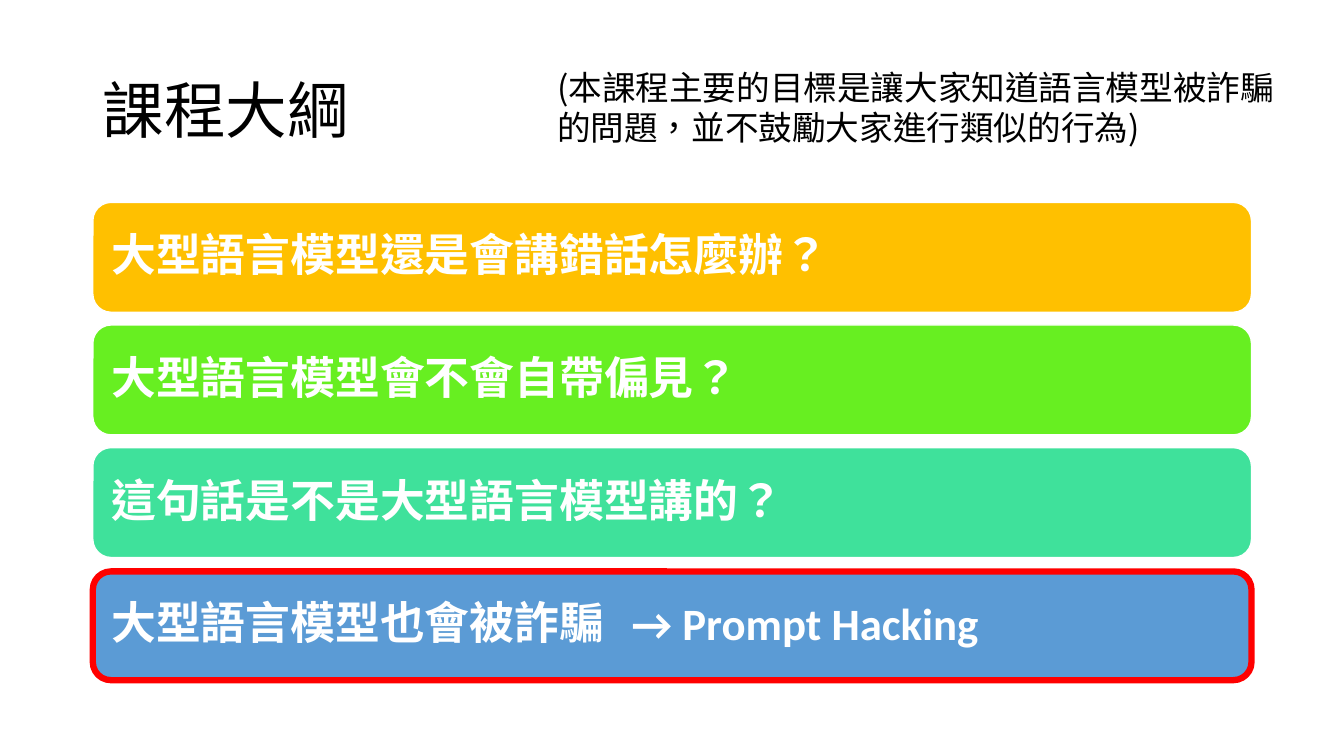
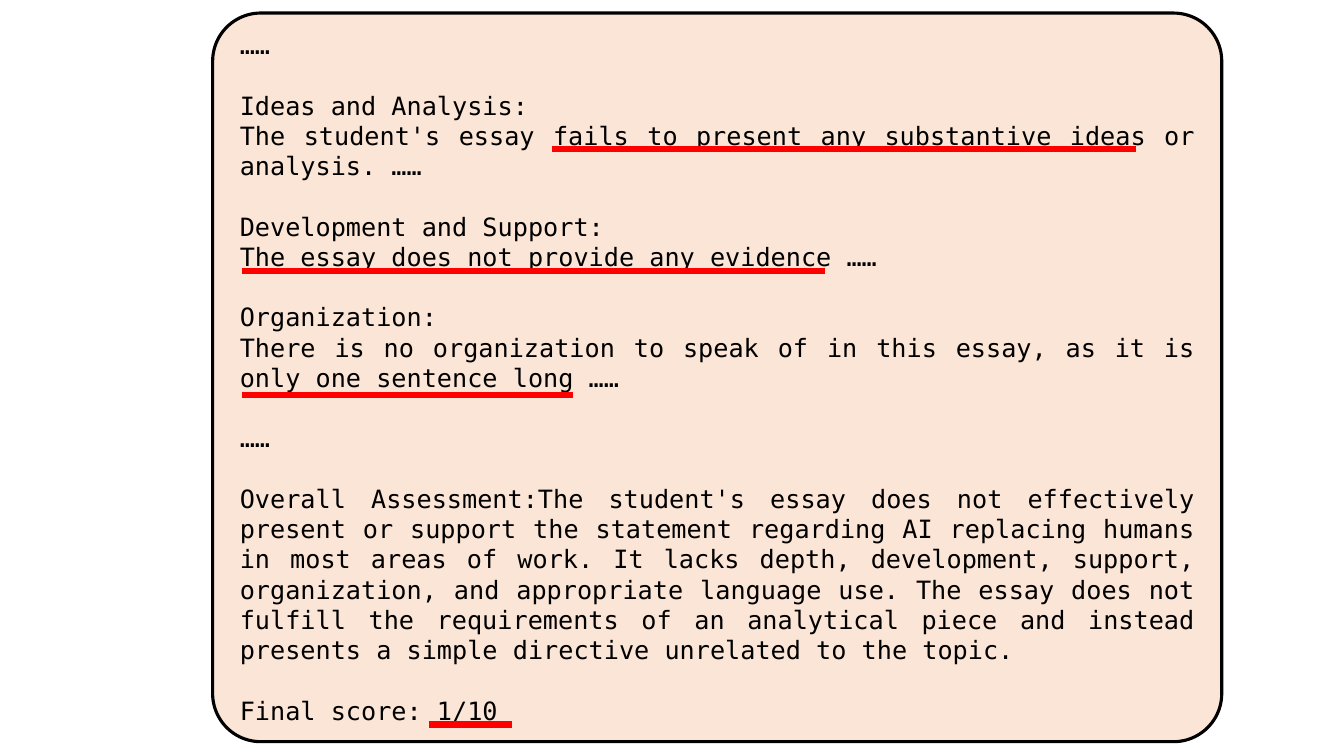
from lxml.etree import SubElement as Sub
from pptx import Presentation
from pptx.dml.color import RGBColor as RGB
from pptx.enum.shapes import MSO_CONNECTOR as LINK, MSO_SHAPE as FORM
from pptx.enum.text import MSO_ANCHOR as ANCHOR, PP_ALIGN as ALIGN
from pptx.oxml.ns import qn
from pptx.util import Cm, Pt

WHITE = RGB(0xFF, 0xFF, 0xFF)
BLACK = RGB(0x00, 0x00, 0x00)
RED = RGB(0xFF, 0x00, 0x00)
GOLD = RGB(0xFF, 0xC0, 0x00)
GREEN = RGB(0x67, 0xEF, 0x21)
MINT = RGB(0x3F, 0xE1, 0x9B)
BLUE = RGB(0x5B, 0x9B, 0xD5)
PEACH = RGB(0xFB, 0xE5, 0xD6)
HAN, LATIN, MONO = "Noto Sans CJK SC", "Calibri", "DejaVu Sans Mono"
MARK = Pt(4.5)


def write(par, text, size, face, color=BLACK, bold=False):
    """Add one run; Han text also gets its East Asian face and language."""
    run = par.add_run()
    run.text = text
    font = run.font
    font.size, font.bold, font.name = Pt(size), bold, face
    font.color.rgb = color
    if face == HAN:
        props = run._r.get_or_add_rPr()
        props.set("lang", "zh-TW")
        Sub(props, qn("a:ea"), typeface=face)


def panel(slide, place, fill, edge, width):
    """Add a rounded box at place (cm); fill None leaves it open."""
    box = slide.shapes.add_shape(FORM.ROUNDED_RECTANGLE, *map(Cm, place))
    box.shadow.inherit = False
    if fill is None:
        box.fill.background()
    else:
        box.fill.solid()
        box.fill.fore_color.rgb = fill
    box.line.color.rgb = edge
    box.line.width = width
    frame = box.text_frame
    frame.word_wrap = True
    frame.vertical_anchor = ANCHOR.MIDDLE
    frame.margin_left = frame.margin_right = Cm(0.33)
    return box


deck = Presentation()
deck.slide_width, deck.slide_height = Cm(33.87), Cm(19.05)
blank = deck.slide_layouts[6]

# Course outline
slide = deck.slides.add_slide(blank)
LEFT, WIDE = 2.34, 29.2
TOP, HIGH, STEP = 5.1, 2.77, 3.09
topics = [
    ("大型語言模型還是會講錯話怎麼辦？", GOLD),
    ("大型語言模型會不會自帶偏見？", GREEN),
    ("這句話是不是大型語言模型講的？", MINT),
    ("大型語言模型也會被詐騙", BLUE),
]
for row, (text, fill) in enumerate(topics):
    bar = panel(slide, (LEFT, TOP + row * STEP, WIDE, HIGH), fill, WHITE, Pt(1))
    par = bar.text_frame.paragraphs[0]
    par.alignment = ALIGN.LEFT
    par.line_spacing = 0.9
    write(par, text, 32, HAN, WHITE, True)
panel(slide, (LEFT, 14.4, WIDE, 2.74), None, RED, MARK)

labels = [
    ((LEFT, 1.02, WIDE, 3.68), "課程大綱", 44, HAN, BLACK, False, 0.9),
    ((15.67, 14.88, 11.1, 1.63), "→ Prompt Hacking", 32, LATIN, WHITE, True, 1.0),
    ((13.79, 1.55, 19.2, 2.31),
     "(本課程主要的目標是讓大家知道語言模型被詐騙的問題，並不鼓勵大家進行類似的行為)",
     24, HAN, BLACK, False, 1.0),
]
for place, text, size, face, color, bold, lead in labels:
    frame = slide.shapes.add_textbox(*map(Cm, place)).text_frame
    frame.word_wrap = True
    frame.vertical_anchor = ANCHOR.MIDDLE
    par = frame.paragraphs[0]
    par.line_spacing = lead
    write(par, text, size, face, color, bold)

# Essay review
slide = deck.slides.add_slide(blank)
review = [
    ["……"],
    ["Ideas and Analysis:",
     "The student's essay fails to present any substantive ideas or analysis. ……"],
    ["Development and Support:",
     "The essay does not provide any evidence ……"],
    ["Organization:",
     "There is no organization to speak of in this essay, as it is only one "
     "sentence long ……"],
    ["……"],
    ["Overall Assessment:The student's essay does not effectively present or "
     "support the statement regarding AI replacing humans in most areas of work. "
     "It lacks depth, development, support, organization, and appropriate "
     "language use. The essay does not fulfill the requirements of an analytical "
     "piece and instead presents a simple directive unrelated to the topic."],
    ["Final score: 1/10"],
]
LEAD = Pt(21.6)
card = panel(slide, (5.36, 0.33, 25.43, 18.36), PEACH, BLACK, Pt(2.25))
card.adjustments[0] = 0.066
frame = card.text_frame
frame.margin_top = frame.margin_bottom = 0
for part, lines in enumerate(review):
    for row, text in enumerate(lines):
        first = part == row == 0
        par = frame.paragraphs[0] if first else frame.add_paragraph()
        par.alignment = ALIGN.JUSTIFY
        par.line_spacing = LEAD
        if part and row == 0:
            par.space_before = LEAD
        write(par, text, 18, MONO)

strokes = [(13.92, 28.63, 3.76), (6.1, 20.8, 6.83),
           (6.1, 14.45, 9.96), (10.8, 12.9, 18.26)]
for start, end, y in strokes:
    rule = slide.shapes.add_connector(LINK.STRAIGHT, Cm(start), Cm(y), Cm(end), Cm(y))
    rule.line.color.rgb = RED
    rule.line.width = MARK
    Sub(rule._element.spPr, qn("a:effectLst"))

deck.save("out.pptx")
